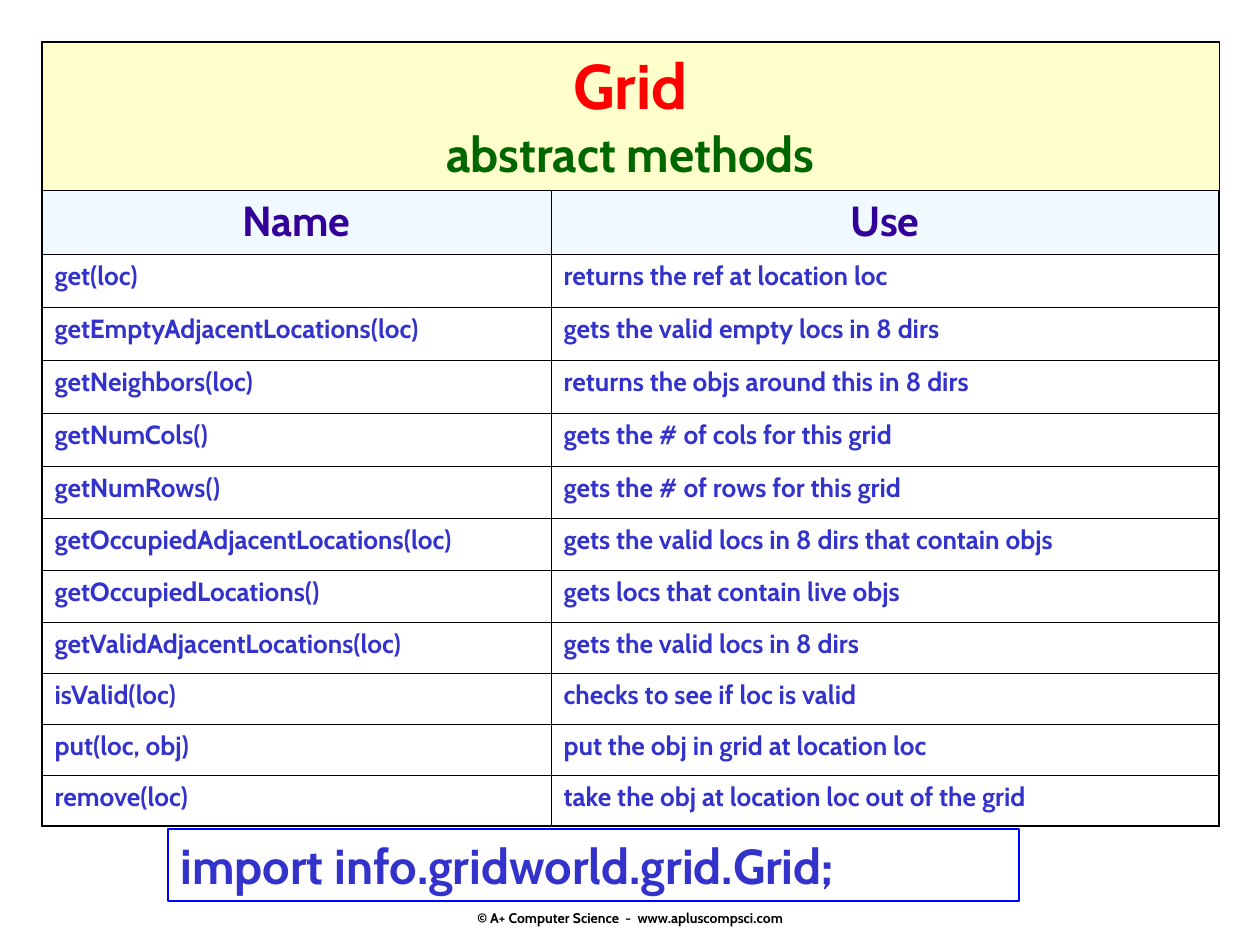
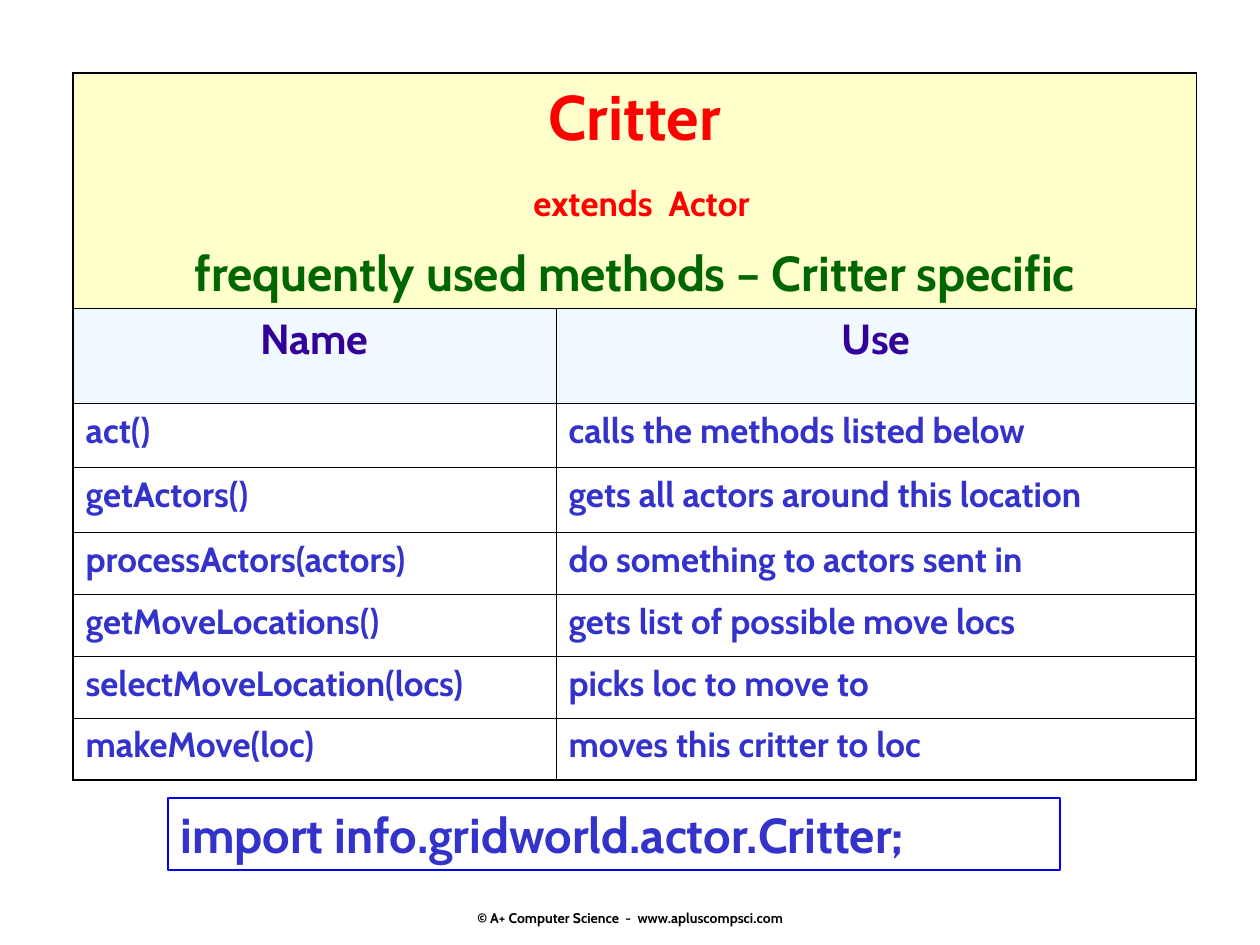
from lxml import etree
from pptx import Presentation
from pptx import util as u
from pptx.dml.color import RGBColor
from pptx.enum import shapes, text
from pptx.oxml import ns

SCALE = 914400 / 126
FONT = "Cabin"
COLORS = {"border": "000000", "footer": "000000", "title": "FF0000", "subtitle": "006600",
          "heading": "330099", "body": "3333CC", "title_fill": "FFFFCC",
          "heading_fill": "E1F4FF", "frame": "0000FF"}
THICK, THIN = 1.08, 0.45
CENTER = text.PP_ALIGN.CENTER

GRID = {
    "box": (42, 42), "cols": (509, 668), "size": 15,
    "rows": [148, 64] + [53] * 4 + [52] * 3 + [51] * 4,
    "title": [("Grid", 36, "title", {}), ("abstract methods", 28, "subtitle", {})],
    "methods": [
        ("get(loc)", "returns the ref at location loc"),
        ("getEmptyAdjacentLocations(loc)", "gets the valid empty locs in 8 dirs"),
        ("getNeighbors(loc)", "returns the objs around this in 8 dirs"),
        ("getNumCols()", "gets the # of cols for this grid"),
        ("getNumRows()", "gets the # of rows for this grid"),
        ("getOccupiedAdjacentLocations(loc)", "gets the valid locs in 8 dirs that contain objs"),
        ("getOccupiedLocations()", "gets locs that contain live objs"),
        ("getValidAdjacentLocations(loc)", "gets the valid locs in 8 dirs"),
        ("isValid(loc)", "checks to see if loc is valid"),
        ("put(loc, obj)", "put the obj in grid at location loc"),
        ("remove(loc)", "take the obj at location loc out of the grid"),
    ],
    "import": ("import info.gridworld.grid.Grid;", (168, 829, 851, 72)),
}
CRITTER = {
    "box": (73, 73), "cols": (483, 640), "size": 20,
    "rows": [235, 95, 64, 65] + [62] * 4,
    "title": [("Critter", 36, "title", {}),
              ("extends  Actor", 20, "title", {"before": 15, "indent": 14}),
              ("frequently used methods – Critter specific", 28, "subtitle", {"before": 11})],
    "methods": [
        ("act()", "calls the methods listed below"),
        ("getActors()", "gets all actors around this location"),
        ("processActors(actors)", "do something to actors sent in"),
        ("getMoveLocations()", "gets list of possible move locs"),
        ("selectMoveLocation(locs)", "picks loc to move to"),
        ("makeMove(loc)", "moves this critter to loc"),
    ],
    "import": ("import info.gridworld.actor.Critter;", (168, 798, 892, 72)),
}


def px(n):
    """Turn pixels into EMU."""
    return u.Emu(round(n * SCALE))


def rgb(name):
    """Look up a named colour."""
    return RGBColor.from_string(COLORS[name])


def write(tf, lines, align=None):
    """Fill a text frame with one bold paragraph per line."""
    tf.word_wrap = True
    for i, (words, size, color, gaps) in enumerate(lines):
        p = tf.paragraphs[0] if i == 0 else tf.add_paragraph()
        p.alignment = align
        if "before" in gaps:
            p.space_before = u.Pt(gaps["before"])
        if "indent" in gaps:
            p._p.get_or_add_pPr().set("marL", str(px(gaps["indent"])))
        r = p.add_run()
        r.text = words
        for key, value in {"name": FONT, "size": u.Pt(size), "bold": True}.items():
            setattr(r.font, key, value)
        r.font.color.rgb = rgb(color)


def fill_cell(cell, name, alpha=None):
    """Fill a cell with a colour, or leave it clear."""
    if name is None:
        cell.fill.background()
        return
    cell.fill.solid()
    cell.fill.fore_color.rgb = rgb(name)
    if alpha:
        clr = cell._tc.tcPr.find(".//" + ns.qn("a:srgbClr"))
        etree.SubElement(clr, ns.qn("a:alpha")).set("val", str(alpha * 1000))


def draw_borders(cell, outer):
    """Draw the four borders of a cell, thick on the outer sides."""
    for i, side in enumerate("LRTB"):
        ln = etree.Element(ns.qn(f"a:ln{side}"))
        ln.set("w", str(u.Pt(THICK if side in outer else THIN)))
        solid = etree.SubElement(ln, ns.qn("a:solidFill"))
        etree.SubElement(solid, ns.qn("a:srgbClr")).set("val", COLORS["border"])
        cell._tc.get_or_add_tcPr().insert(i, ln)


def add_methods_table(s, spec_of):
    """Add the title band, headings and method rows as one table."""
    cols, rows = spec_of["cols"], spec_of["rows"]
    box = [px(n) for n in (*spec_of["box"], sum(cols), sum(rows))]
    table = s.shapes.add_table(len(rows), len(cols), *box).table
    table.first_row = table.horz_banding = False
    for col, width in zip(table.columns, cols):
        col.width = px(width)
    for row, height in zip(table.rows, rows):
        row.height = px(height)
    table.cell(0, 0).merge(table.cell(0, 1))
    write(table.cell(0, 0).text_frame, spec_of["title"], CENTER)
    for y, words in enumerate([("Name", "Use"), *spec_of["methods"]], 1):
        size, color, align = (24, "heading", CENTER) if y == 1 else (spec_of["size"], "body", None)
        for x, word in enumerate(words):
            write(table.cell(y, x).text_frame, [(word, size, color, {})], align)
    fills = {0: ("title_fill",), 1: ("heading_fill", 50)}
    for y in range(len(rows)):
        for x in range(len(cols)):
            cell = table.cell(y, x)
            fill_cell(cell, *fills.get(y, (None,)))
            draw_borders(cell, "LR"[x] + {0: "T", len(rows) - 1: "B"}.get(y, ""))


def add_import_box(s, words, box):
    """Add the framed import statement."""
    sp = s.shapes.add_shape(shapes.MSO_SHAPE.RECTANGLE, *map(px, box))
    sp.shadow.inherit = False
    sp.fill.background()
    sp.line.color.rgb = rgb("frame")
    sp.line.width = u.Pt(1)
    sp.text_frame.vertical_anchor = text.MSO_ANCHOR.TOP
    write(sp.text_frame, [(words, 28, "body", {})], text.PP_ALIGN.LEFT)


def add_footer(s):
    """Add the copyright line."""
    tf = s.shapes.add_textbox(*map(px, (431, 891, 399, 54))).text_frame
    tf.vertical_anchor = text.MSO_ANCHOR.MIDDLE
    write(tf, [("© A+ Computer Science  -  www.apluscompsci.com", 8, "footer", {})], CENTER)


def add_class_slide(prs, spec_of):
    """Add a slide that lists the methods of one class."""
    s = prs.slides.add_slide(prs.slide_layouts[6])
    add_footer(s)
    add_methods_table(s, spec_of)
    add_import_box(s, *spec_of["import"])


def main():
    """Build and save the slides."""
    prs = Presentation()
    prs.slide_width, prs.slide_height = px(1260), px(945)
    for spec_of in (GRID, CRITTER):
        add_class_slide(prs, spec_of)
    prs.save("out.pptx")


if __name__ == "__main__":
    main()
